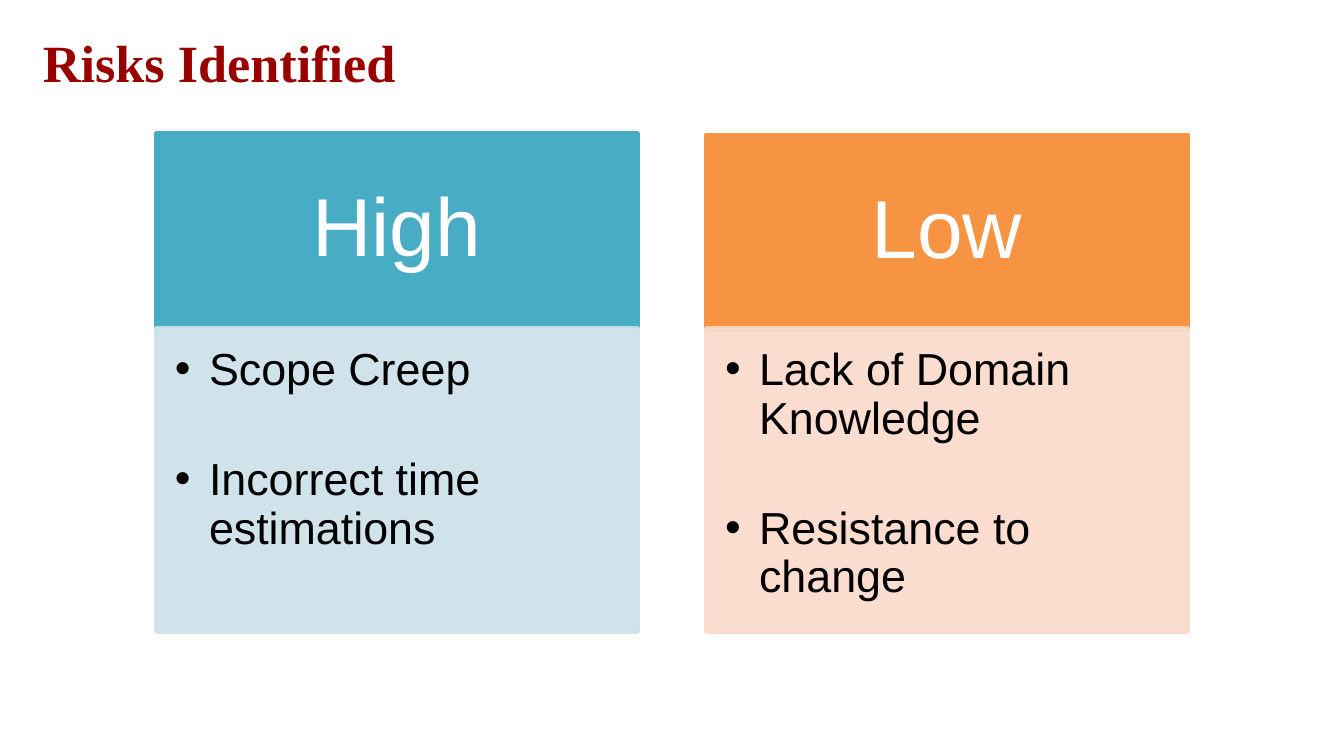
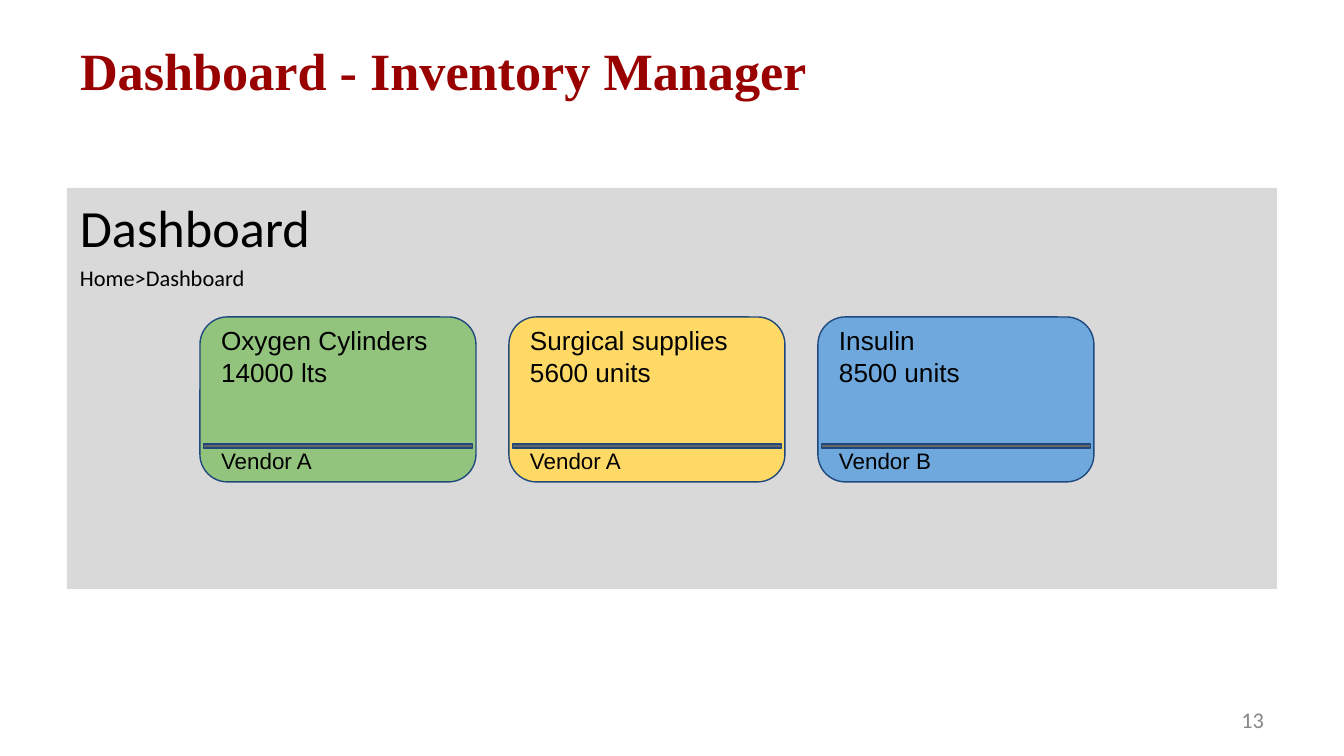
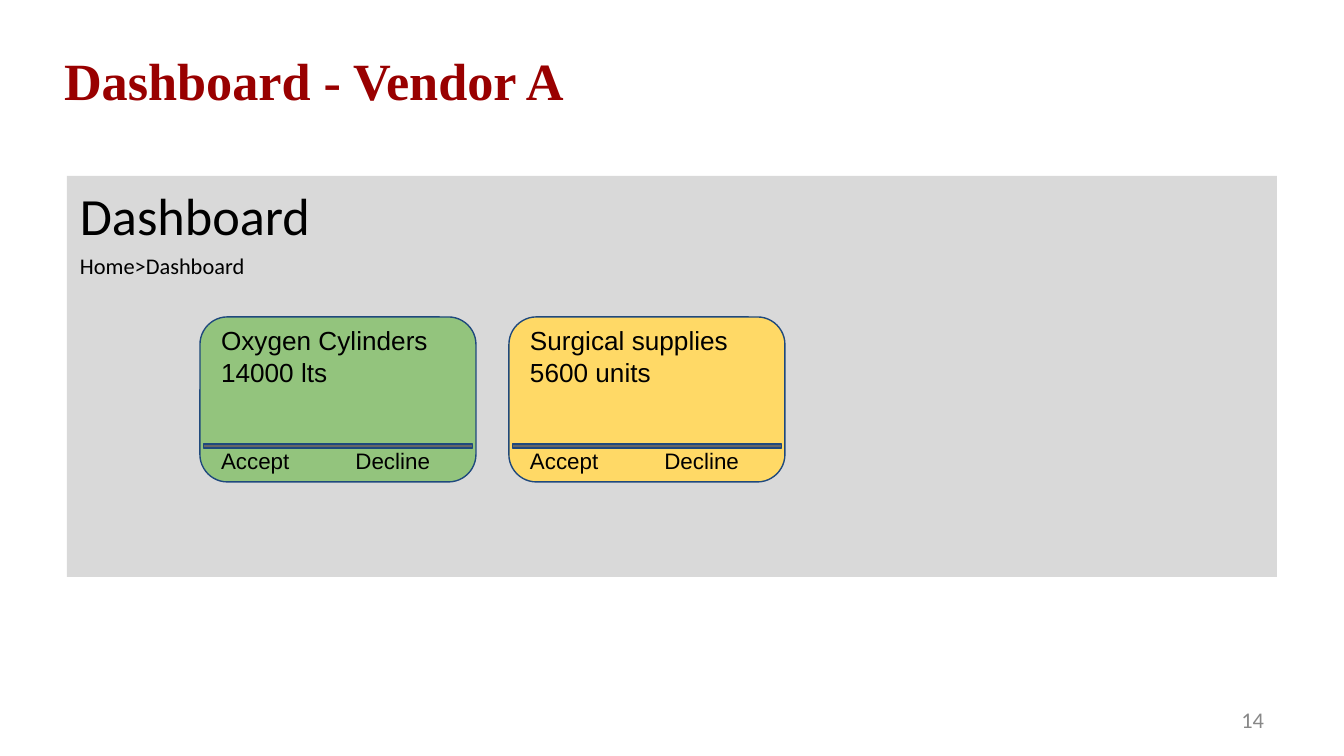
from lxml.etree import SubElement
from pptx import Presentation
from pptx.dml.color import RGBColor
from pptx.enum.shapes import MSO_SHAPE
from pptx.enum.text import MSO_ANCHOR, PP_ALIGN
from pptx.oxml.ns import qn
from pptx.util import Emu, Pt

WHITE = RGBColor(0xFF, 0xFF, 0xFF)
BLACK = RGBColor(0x00, 0x00, 0x00)
DARK_RED = RGBColor(0x99, 0x00, 0x00)
PANEL_GREY = RGBColor(0xD9, 0xD9, 0xD9)
NUMBER_GREY = RGBColor(0x88, 0x88, 0x88)
DIVIDER_GREY = RGBColor(0x66, 0x66, 0x66)
NAVY = RGBColor(0x1F, 0x49, 0x7D)
TEAL = RGBColor(0x49, 0xAC, 0xC5)
PALE_TEAL = RGBColor(0xCD, 0xE1, 0xE8)
ORANGE = RGBColor(0xF6, 0x94, 0x44)
PALE_ORANGE = RGBColor(0xFB, 0xDA, 0xCB)
GREEN = RGBColor(0x93, 0xC4, 0x7D)
YELLOW = RGBColor(0xFF, 0xD9, 0x66)
BLUE = RGBColor(0x6F, 0xA8, 0xDC)

EMU_PER_PX = 914400 / 134.4
SLIDE_SIZE = (1344, 756)
INSETS = (13, 7, 13, 7)

RISK_TITLE = ("Risks Identified", (30, 23, 547, 67))
RISKS = [
    ("High", TEAL, PALE_TEAL, 133, ["Scope Creep", "Incorrect time estimations"]),
    ("Low", ORANGE, PALE_ORANGE, 135, ["Lack of Domain Knowledge", "Resistance to change"]),
]
RISK_LEFT, RISK_PITCH, RISK_WIDTH = 156, 550, 482
HEADER_HEIGHT, BODY_TOP, BODY_HEIGHT = 194, 328, 304

OXYGEN = ("Oxygen Cylinders", "14000 lts", GREEN)
SURGICAL = ("Surgical supplies", "5600 units", YELLOW)
INSULIN = ("Insulin", "8500 units", BLUE)
ANSWERS = "Accept\tDecline"
DASHBOARDS = [
    {
        "title": "Dashboard - Inventory Manager",
        "title_box": (67, 31, 851, 78),
        "panel_top": 188,
        "number": "13",
        "cards": [(OXYGEN, "Vendor A"), (SURGICAL, "Vendor A"), (INSULIN, "Vendor B")],
    },
    {
        "title": "Dashboard - Vendor A",
        "title_box": (51, 32, 573, 95),
        "panel_top": 176,
        "number": "14",
        "cards": [(OXYGEN, ANSWERS), (SURGICAL, ANSWERS)],
    },
]
PANEL_LEFT, PANEL_WIDTH, PANEL_HEIGHT = 67, 1210, 401
CARD_LEFT, CARD_TOP, CARD_WIDTH, CARD_HEIGHT, CARD_PITCH = 200, 317, 276, 165, 309
DIVIDER_TOP, DIVIDER_WIDTH, DIVIDER_HEIGHT = 444, 366, 4
NUMBER_BOX = (964, 700, 313, 40)


def px(value):
    return Emu(round(value * EMU_PER_PX))


def add_box(slide, box, fill, line=None, line_width=0.75, kind=MSO_SHAPE.RECTANGLE):
    shape = slide.shapes.add_shape(kind, *map(px, box))
    shape.shadow.inherit = False
    shape.fill.solid()
    shape.fill.fore_color.rgb = fill
    if line is None:
        shape.line.fill.background()
    else:
        shape.line.color.rgb = line
        shape.line.width = Pt(line_width)
    return shape


def set_opacity(shape, percent):
    for color in shape._element.spPr.iter(qn("a:srgbClr")):
        SubElement(color, qn("a:alpha"), val=str(percent * 1000))


def add_bullet(paragraph):
    properties = paragraph._p.get_or_add_pPr()
    properties.set("marL", str(px(34)))
    properties.set("indent", str(-px(34)))
    SubElement(properties, qn("a:buFont"), typeface="Arial")
    SubElement(properties, qn("a:buChar"), char="•")


def write(shape, lines, font="Arial", size=14, color=BLACK, bold=False, insets=INSETS,
          anchor=MSO_ANCHOR.MIDDLE, align=PP_ALIGN.LEFT, spacing=None, bullets=False):
    frame = shape.text_frame
    frame.word_wrap = True
    frame.vertical_anchor = anchor
    frame.margin_left, frame.margin_top, frame.margin_right, frame.margin_bottom = map(px, insets)
    for index, (text, line_format) in enumerate(lines):
        paragraph = frame.add_paragraph() if index else frame.paragraphs[0]
        paragraph.alignment = align
        if spacing:
            paragraph.line_spacing = spacing
        paragraph.space_before = Pt(line_format.get("before", 0))
        if bullets:
            add_bullet(paragraph)
        run = paragraph.add_run()
        run.text = text
        run.font.name = font
        run.font.size = Pt(line_format.get("size", size))
        run.font.bold = bold
        run.font.color.rgb = color


def add_label(slide, text, box, **text_format):
    write(slide.shapes.add_textbox(*map(px, box)), [(text, {})], **text_format)


def add_title(slide, text, box, anchor=MSO_ANCHOR.MIDDLE):
    add_label(slide, text, box, font="Times New Roman", size=28, color=DARK_RED, bold=True,
              anchor=anchor)


def add_slide(presentation):
    slide = presentation.slides.add_slide(presentation.slide_layouts[6])
    slide.background.fill.solid()
    slide.background.fill.fore_color.rgb = WHITE
    return slide


def build_risks(presentation):
    slide = add_slide(presentation)
    add_title(slide, *RISK_TITLE, anchor=MSO_ANCHOR.TOP)
    for index, (level, strong, pale, top, risks) in enumerate(RISKS):
        left = RISK_LEFT + index * RISK_PITCH
        header = add_box(slide, (left, top, RISK_WIDTH, HEADER_HEIGHT), strong, strong, 2)
        write(header, [(level, {})], size=44, color=WHITE, insets=(46, 27, 46, 27),
              align=PP_ALIGN.CENTER, spacing=0.9)
        body = add_box(slide, (left, BODY_TOP, RISK_WIDTH, BODY_HEIGHT), pale, pale, 2)
        set_opacity(body, 90)
        lines = [(risk, {"before": 33 if position else 0}) for position, risk in enumerate(risks)]
        write(body, lines, size=24, insets=(19, 19, 26, 28), anchor=MSO_ANCHOR.TOP,
              spacing=0.9, bullets=True)


def build_dashboard(presentation, dashboard):
    slide = add_slide(presentation)
    add_title(slide, dashboard["title"], dashboard["title_box"])
    panel = add_box(slide, (PANEL_LEFT, dashboard["panel_top"], PANEL_WIDTH, PANEL_HEIGHT),
                    PANEL_GREY)
    write(panel, [("Dashboard", {"size": 28, "before": 3.6}),
                  ("Home>Dashboard", {"size": 12, "before": 3.6})],
          font="Calibri", anchor=MSO_ANCHOR.TOP)
    add_label(slide, dashboard["number"], NUMBER_BOX, font="Calibri", size=12,
              color=NUMBER_GREY, align=PP_ALIGN.RIGHT)
    for index, ((item, quantity, fill), footer) in enumerate(dashboard["cards"]):
        left = CARD_LEFT + index * CARD_PITCH
        card = add_box(slide, (left, CARD_TOP, CARD_WIDTH, CARD_HEIGHT), fill, NAVY,
                       kind=MSO_SHAPE.FLOWCHART_ALTERNATE_PROCESS)
        write(card, [(item, {}), (quantity, {}), (footer, {"size": 12, "before": 32})],
              insets=(13, 13, 13, 13))
        divider_left = left + (CARD_WIDTH - DIVIDER_WIDTH) // 2
        divider = add_box(slide, (divider_left, DIVIDER_TOP, DIVIDER_WIDTH, DIVIDER_HEIGHT),
                          DIVIDER_GREY, NAVY, kind=MSO_SHAPE.MATH_MINUS)
        divider.adjustments[0] = 1


def main():
    presentation = Presentation()
    presentation.slide_width, presentation.slide_height = map(px, SLIDE_SIZE)
    build_risks(presentation)
    for dashboard in DASHBOARDS:
        build_dashboard(presentation, dashboard)
    presentation.save("out.pptx")


if __name__ == "__main__":
    main()
